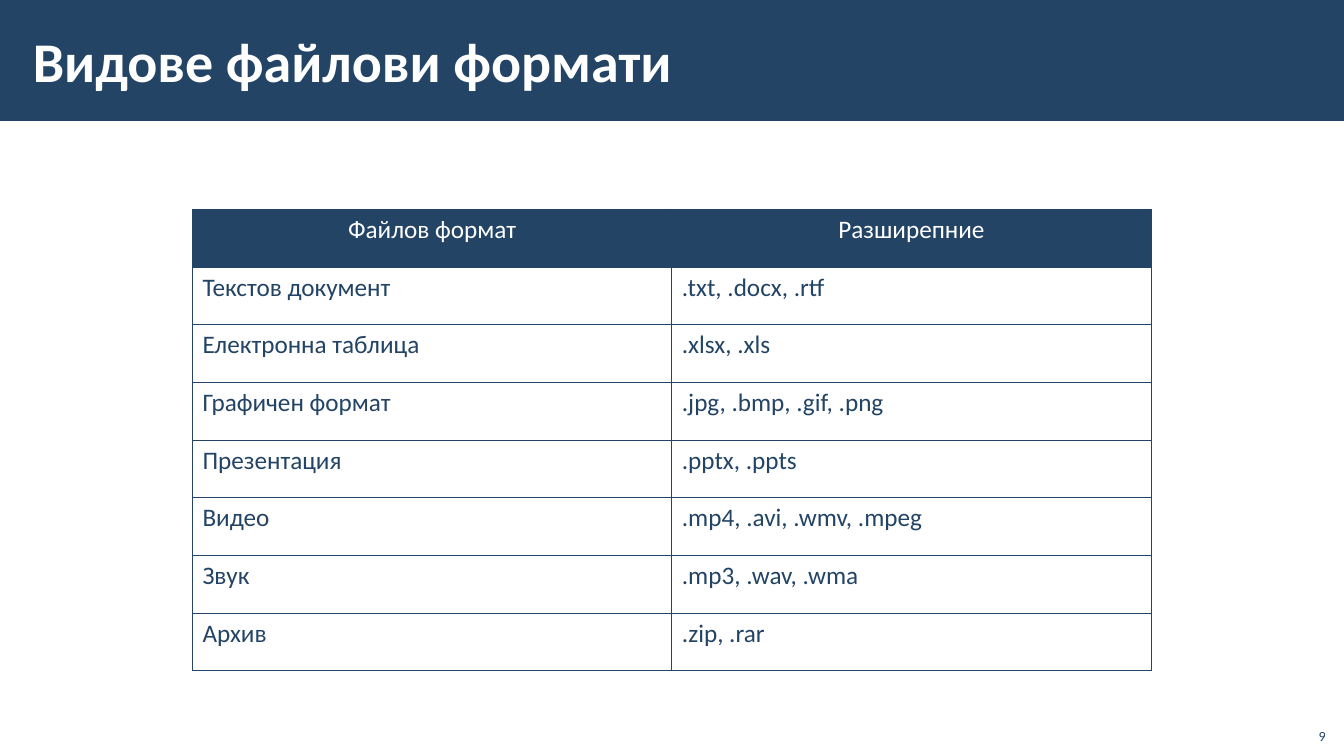
from lxml import etree
from pptx import Presentation
from pptx.dml.color import RGBColor
from pptx.enum.shapes import MSO_SHAPE
from pptx.enum.text import MSO_ANCHOR, PP_ALIGN
from pptx.oxml.ns import qn
from pptx.util import Cm, Pt

NAVY = RGBColor(0x23, 0x44, 0x65)
WHITE = RGBColor(0xFF, 0xFF, 0xFF)
FONT = "Calibri"
RECTANGLE = MSO_SHAPE.RECTANGLE
MIDDLE, BOTTOM = MSO_ANCHOR.MIDDLE, MSO_ANCHOR.BOTTOM
LEFT, CENTER, RIGHT = PP_ALIGN.LEFT, PP_ALIGN.CENTER, PP_ALIGN.RIGHT

FORMATS = [
    ("Файлов формат", "Разширепние"),
    ("Текстов документ", ".txt, .docx, .rtf"),
    ("Електронна таблица", ".xlsx, .xls"),
    ("Графичен формат", ".jpg, .bmp, .gif, .png"),
    ("Презентация", ".pptx, .ppts"),
    ("Видео", ".mp4, .avi, .wmv, .mpeg"),
    ("Звук", ".mp3, .wav, .wma"),
    ("Архив", ".zip, .rar"),
]


def write_text(text_frame, text, size, color, alignment=LEFT, bold=False):
    paragraph = text_frame.paragraphs[0]
    paragraph.alignment = alignment
    run = paragraph.add_run()
    run.text = text
    run.font.name = FONT
    run.font.size = Pt(size)
    run.font.bold = bold
    run.font.color.rgb = color


def add_borders(cell, color, width):
    """Draw a solid line on all four sides; call before setting the cell's fill."""
    properties = cell._tc.get_or_add_tcPr()
    for side in ("lnL", "lnR", "lnT", "lnB"):
        line = etree.SubElement(properties, qn(f"a:{side}"), w=str(width))
        solid_fill = etree.SubElement(line, qn("a:solidFill"))
        etree.SubElement(solid_fill, qn("a:srgbClr"), val=str(color))


presentation = Presentation()
presentation.slide_width = Cm(33.87)
presentation.slide_height = Cm(19.05)
slide = presentation.slides.add_slide(presentation.slide_layouts[6])

# Title band
band = slide.shapes.add_shape(RECTANGLE, 0, 0, presentation.slide_width, Cm(3.05))
band.shadow.inherit = False
band.fill.solid()
band.fill.fore_color.rgb = NAVY
band.line.fill.background()

title = slide.shapes.add_textbox(Cm(0.53), Cm(0.28), Cm(28.52), Cm(2.46))
title_frame = title.text_frame
title_frame.word_wrap = True
title_frame.vertical_anchor = MIDDLE
title_frame.margin_left = title_frame.margin_right = Cm(0.3)
title_frame.margin_top = title_frame.margin_bottom = Cm(0.1)
write_text(title_frame, "Видове файлови формати", 40, WHITE, bold=True)

# Table of file formats
table_frame = slide.shapes.add_table(
    len(FORMATS), 2, Cm(4.85), Cm(5.28), Cm(24.16), Cm(11.63))
table = table_frame.table
for row_index, row_texts in enumerate(FORMATS):
    is_header = row_index == 0
    for column_index, text in enumerate(row_texts):
        cell = table.cell(row_index, column_index)
        add_borders(cell, NAVY, Pt(1))
        if is_header:
            cell.fill.solid()
            cell.fill.fore_color.rgb = NAVY
            write_text(cell.text_frame, text, 18, WHITE, CENTER)
        else:
            cell.fill.background()
            write_text(cell.text_frame, text, 18, NAVY)

# Page number
page_number = slide.shapes.add_textbox(Cm(32.64), Cm(18.08), Cm(1.02), Cm(0.81))
page_number.text_frame.word_wrap = True
page_number.text_frame.vertical_anchor = BOTTOM
write_text(page_number.text_frame, "9", 10, NAVY, RIGHT)

presentation.save("out.pptx")
